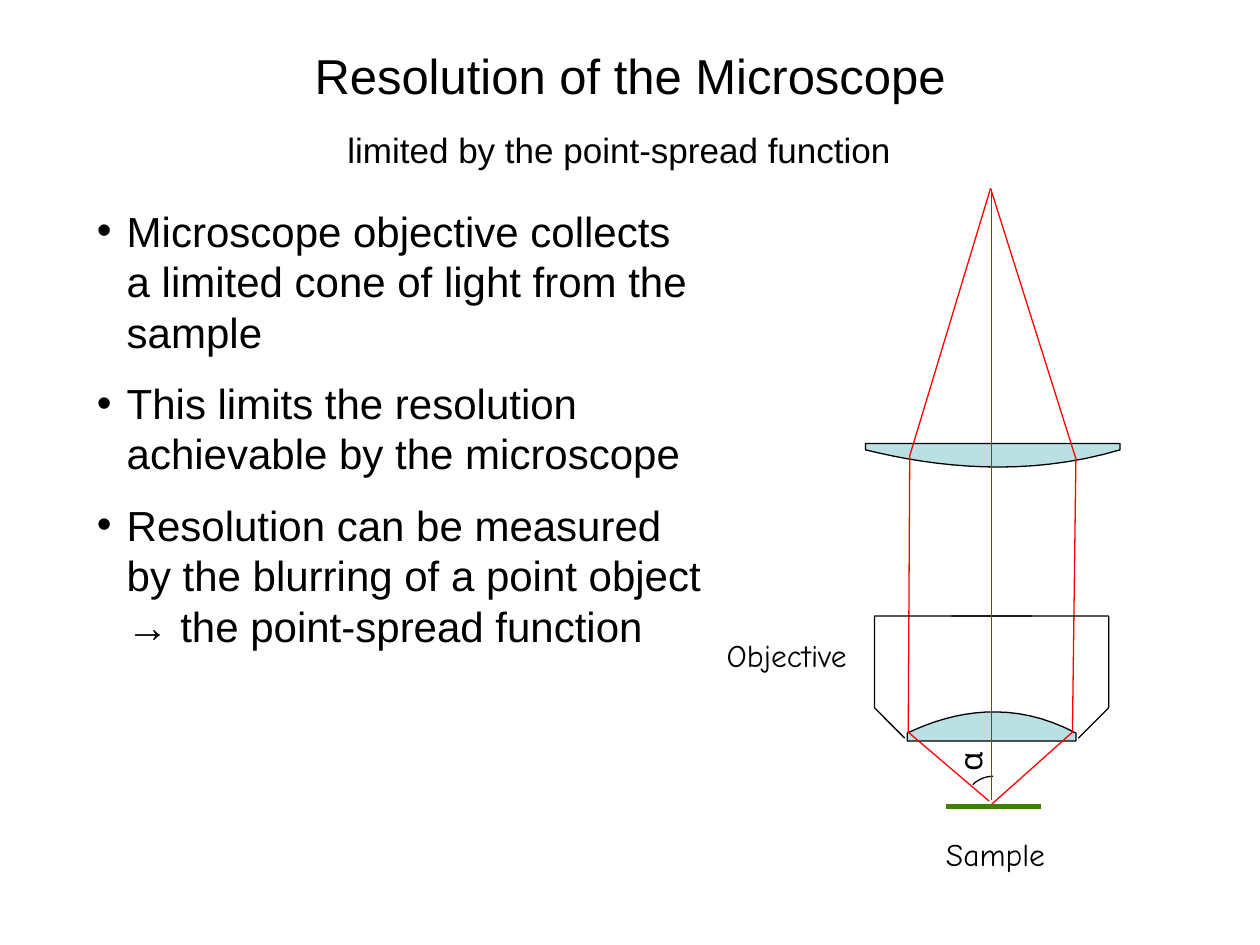
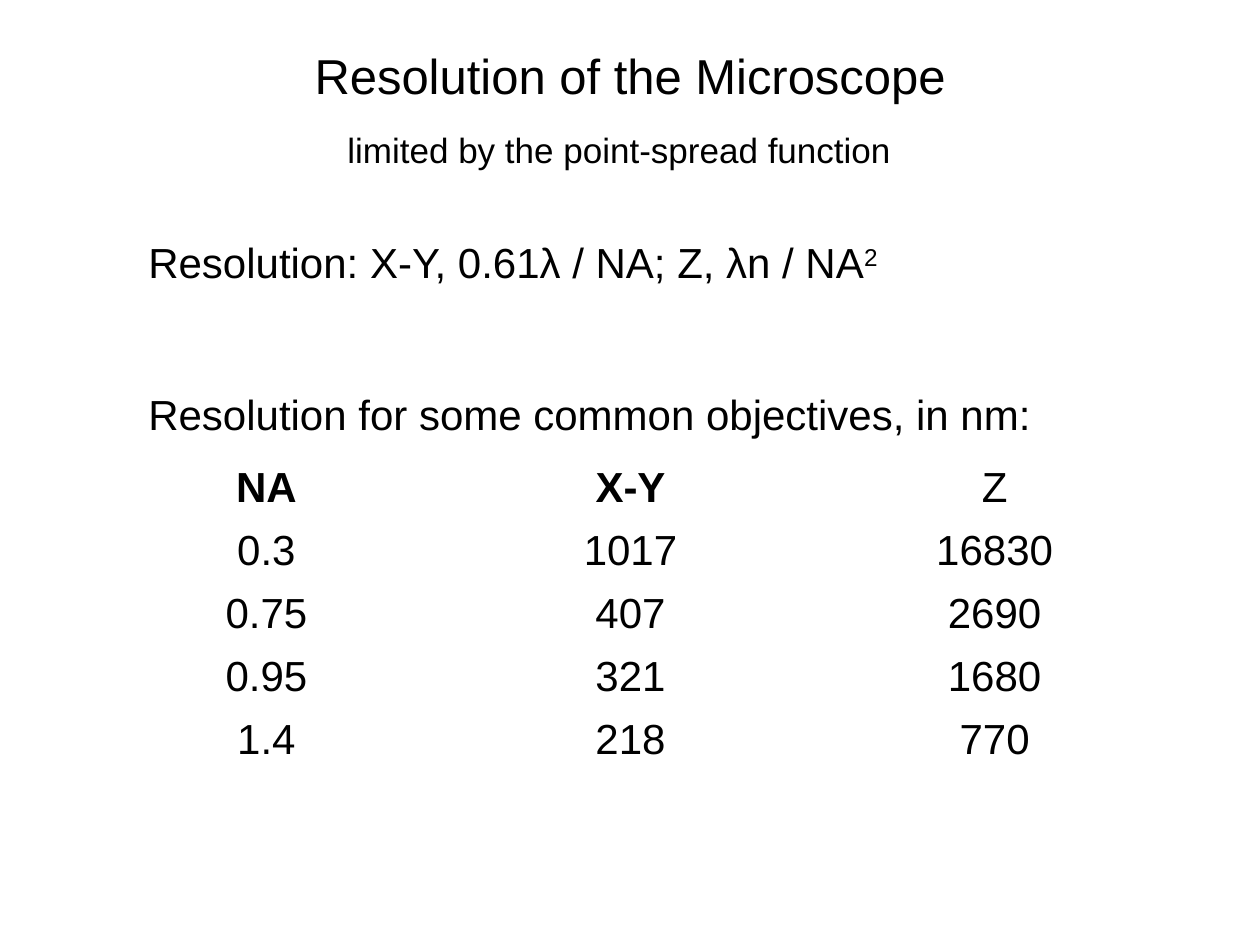
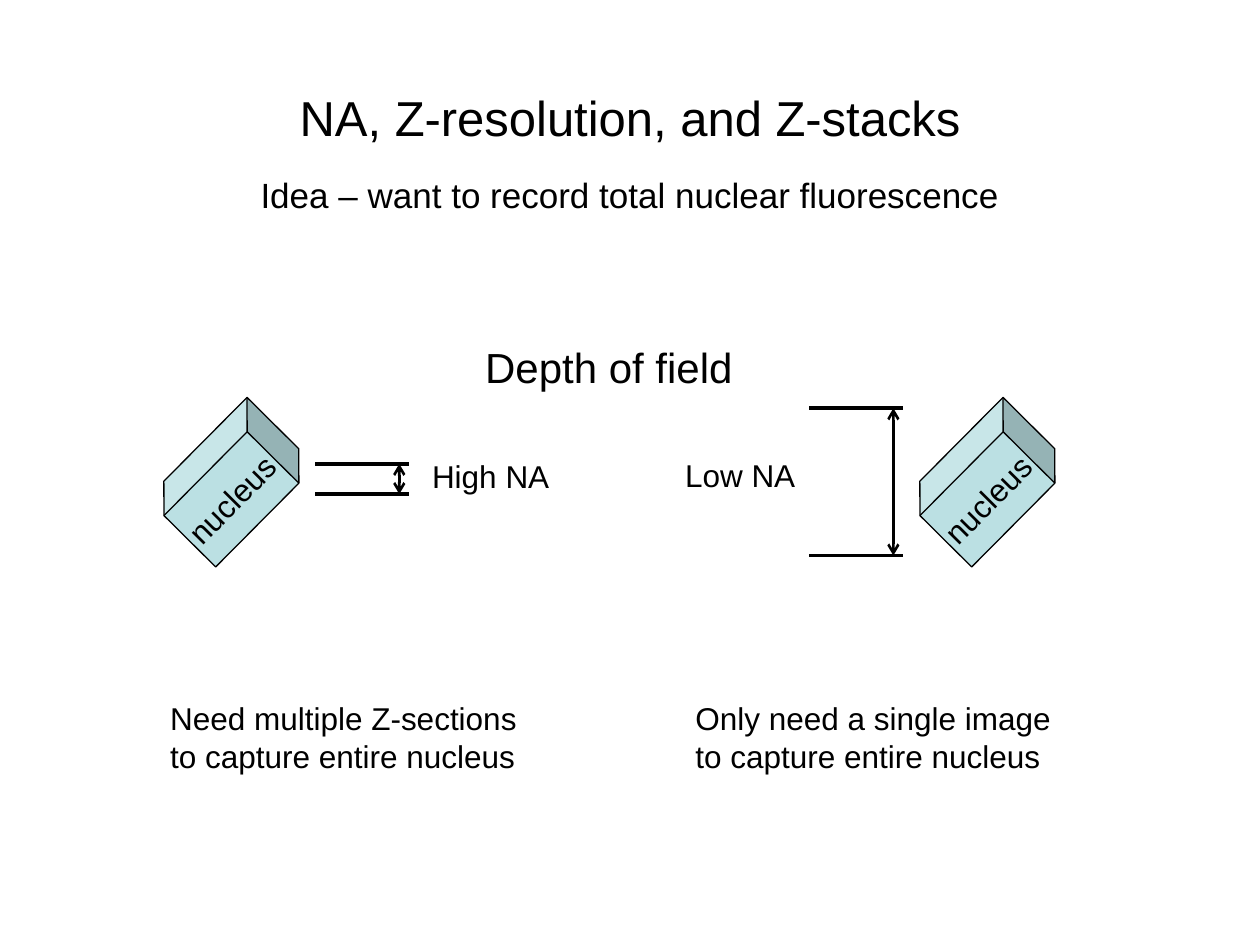
"""Build three slides on microscope resolution, numerical aperture and Z-stacks."""
from lxml import etree
from pptx import Presentation
from pptx.dml.color import RGBColor
from pptx.enum.shapes import MSO_CONNECTOR, MSO_SHAPE
from pptx.enum.text import MSO_ANCHOR, MSO_AUTO_SIZE, PP_ALIGN
from pptx.oxml.ns import qn
from pptx.util import Cm, Pt

STRAIGHT = MSO_CONNECTOR.STRAIGHT
RECTANGLE, CUBE = MSO_SHAPE.RECTANGLE, MSO_SHAPE.CUBE
MIDDLE, BOTTOM = MSO_ANCHOR.MIDDLE, MSO_ANCHOR.BOTTOM
FIT_SHAPE, NO_FIT = MSO_AUTO_SIZE.SHAPE_TO_FIT_TEXT, MSO_AUTO_SIZE.NONE
LEFT, CENTER = PP_ALIGN.LEFT, PP_ALIGN.CENTER

BLACK, WHITE, RED, GREEN, GLASS = "000000", "FFFFFF", "FF0000", "408000", "BBE0E3"
SANS, HAND = "Arial", "Comic Neue"
HAIRLINE = 0.75
CURVE_STEPS = 16


def write(para, text, size, font=SANS, bold=False):
    """Add one formatted run to a paragraph."""
    span = para.add_run()
    span.text = text
    span.font.name = font
    span.font.size = Pt(size)
    span.font.bold = bold
    span.font.color.rgb = RGBColor.from_string(BLACK)
    return span


def draw_line(page, start, end, color, width):
    """Draw a straight line without shadow and return its a:ln element."""
    line = page.shapes.add_connector(STRAIGHT, *map(Cm, start + end))
    line.line.color.rgb = RGBColor.from_string(color)
    line.line.width = Pt(width)
    properties = line._element.spPr
    etree.SubElement(properties, qn("a:effectLst"))
    return properties.find(qn("a:ln"))


deck = Presentation()
deck.slide_width, deck.slide_height = Cm(25.4), Cm(19.05)

titles = [
    (1, "Resolution of the Microscope", (1.9, 0.46, 21.6, 2.1)),
    (5, "Resolution of the Microscope", (1.9, 0.46, 21.6, 2.08)),
    (5, "NA, Z-resolution, and Z-stacks", (1.27, 0.76, 22.86, 3.18)),
]
for layout, text, place in titles:
    page = deck.slides.add_slide(deck.slide_layouts[layout])
    title = page.shapes.title
    title.left, title.top, title.width, title.height = map(Cm, place)
    title.text_frame.vertical_anchor = MIDDLE
    title.text_frame.auto_size = NO_FIT
    para = title.text_frame.paragraphs[0]
    para.alignment = CENTER
    write(para, text, 28)
objective_page, table_page, depth_page = deck.slides

subtitle = ("limited by the point-spread function", 20, SANS, CENTER, True, 0)
captions = [
    (objective_page, (3, 2.46, 18.97, 1.12), *subtitle),
    (table_page, (3, 2.46, 18.97, 1.12), *subtitle),
    (objective_page, (18.82, 16.71, 2.57, 1.07), "Sample", 18, HAND, LEFT, False, 0),
    (objective_page, (14.4, 12.7, 3.3, 1.07), "Objective", 18, HAND, LEFT, False, 0),
    (objective_page, (19.1, 14.83, 0.91, 1.02), "α", 18, HAND, LEFT, False, 270),
    (depth_page, (2.44, 3.38, 20.52, 1.12),
     "Idea – want to record total nuclear fluorescence", 20, SANS, CENTER, True, 0),
    (depth_page, (9.53, 6.76, 5.56, 1.27), "Depth of field", 24, SANS, LEFT, False, 0),
    (depth_page, (8.46, 9.09, 2.95, 1.02), "High NA", 18, SANS, LEFT, False, 0),
    (depth_page, (13.56, 9.07, 2.77, 1.02), "Low NA", 18, SANS, LEFT, False, 0),
    (depth_page, (3.18, 13.97, 8.05, 1.8),
     "Need multiple Z-sections to capture entire nucleus", 18, SANS, LEFT, True, 0),
    (depth_page, (13.77, 13.97, 8.05, 1.8),
     "Only need a single image to capture entire nucleus", 18, SANS, LEFT, True, 0),
]
for page, place, text, size, font, alignment, wrap, rotation in captions:
    box = page.shapes.add_textbox(*map(Cm, place))
    box.rotation = rotation
    box.text_frame.word_wrap = wrap
    box.text_frame.auto_size = FIT_SHAPE
    para = box.text_frame.paragraphs[0]
    para.alignment = alignment
    write(para, text, size, font)

body = objective_page.placeholders[1]
body.left, body.top, body.width, body.height = map(Cm, (1.7, 4.01, 12.7, 10.77))
body.text_frame.auto_size = NO_FIT
points = [
    "Microscope objective collects a limited cone of light from the sample",
    "This limits the resolution achievable by the microscope",
    "Resolution can be measured by the blurring of a point object → the point-spread function",
]
for index, text in enumerate(points):
    para = body.text_frame.add_paragraph() if index else body.text_frame.paragraphs[0]
    indents = para._p.get_or_add_pPr()
    indents.set("marL", str(Cm(0.6)))
    indents.set("indent", str(-Cm(0.6)))
    para.space_before, para.space_after = Pt(0), Pt(12)
    write(para, text, 24)

# Each step holds one end point, or two control points and an end point.
outlines = [
    ([[(18.29, 14.78)], [(18.29, 14.94)], [(21.69, 14.94)], [(21.69, 14.78)],
      [(20.42, 14.1), (19.23, 14.33), (18.29, 14.78)]], GLASS, BLACK),
    ([[(17.45, 9.07)], [(17.45, 8.94)], [(22.58, 8.94)], [(22.58, 9.07)],
      [(20.68, 9.63), (18.87, 9.42), (17.45, 9.07)]], GLASS, BLACK),
    ([[(19.94, 16.15)], [(18.31, 14.76)], [(18.34, 9.19)], [(19.99, 3.73)]], None, RED),
    ([[(19.94, 16.26)], [(21.62, 14.76)], [(21.69, 9.25)], [(19.99, 3.86)]], None, RED),
    ([[(18.24, 14.88)], [(17.63, 14.27)], [(17.63, 12.42)], [(20.8, 12.42)]], None, BLACK),
    ([[(21.74, 14.88)], [(22.35, 14.27)], [(22.35, 12.42)], [(19.18, 12.42)]], None, BLACK),
    ([[(19.61, 15.82)], [(19.71, 15.72), (19.86, 15.65), (20.02, 15.65)]], None, BLACK),
]
for steps, fill, color in outlines:
    vertices = []
    for step in steps:
        if len(step) == 1:
            vertices += step
            continue
        corners = [vertices[-1], *step]
        for count in range(1, CURVE_STEPS + 1):
            t = count / CURVE_STEPS
            weights = ((1 - t) ** 3, 3 * t * (1 - t) ** 2, 3 * t ** 2 * (1 - t), t ** 3)
            vertices.append(tuple(
                sum(weight * corner[axis] for weight, corner in zip(weights, corners))
                for axis in (0, 1)))
    vertices = [(Cm(x), Cm(y)) for x, y in vertices]
    builder = objective_page.shapes.build_freeform(*vertices[0])
    builder.add_line_segments(vertices[1:], close=fill is not None)
    outline = builder.convert_to_shape()
    outline.shadow.inherit = False
    outline.line.color.rgb = RGBColor.from_string(color)
    outline.line.width = Pt(HAIRLINE)
    if fill:
        outline.fill.solid()
        outline.fill.fore_color.rgb = RGBColor.from_string(fill)
    else:
        outline.fill.background()

draw_line(objective_page, (19.99, 16.13), (19.99, 3.81), RED, HAIRLINE)
draw_line(objective_page, (19.08, 16.26), (20.98, 16.26), GREEN, 3)
tip_cover = objective_page.shapes.add_shape(RECTANGLE, Cm(19.84), Cm(3.43), Cm(0.46), Cm(0.36))
tip_cover.shadow.inherit = False
tip_cover.fill.solid()
tip_cover.fill.fore_color.rgb = RGBColor.from_string(WHITE)
tip_cover.line.fill.background()

rows = [
    ("NA", "X-Y", "Z"),
    ("0.3", "1017", "16830"),
    ("0.75", "407", "2690"),
    ("0.95", "321", "1680"),
    ("1.4", "218", "770"),
    ("", "", ""),
]
table = table_page.shapes.add_table(
    len(rows), 3, Cm(1.7), Cm(8.26), Cm(22.02), Cm(8.4)).table
table.first_row = table.horz_banding = False
for row_index, values in enumerate(rows):
    table.rows[row_index].height = Cm(1.25 if row_index else 2.18)
    for column_index, value in enumerate(values):
        cell = table.cell(row_index, column_index)
        cell.fill.background()
        cell.vertical_anchor = BOTTOM
        para = cell.text_frame.paragraphs[0]
        para.alignment = CENTER
        if value:
            write(para, value, 24, bold=value in ("NA", "X-Y"))

formula = table_page.shapes.add_textbox(Cm(2.74), Cm(4.65), Cm(20.32), Cm(3.68)).text_frame
formula.word_wrap = True
para = formula.paragraphs[0]
write(para, "Resolution: X-Y, 0.61λ / NA; Z, λn / NA", 24)
exponent = write(para, "2", 24)
exponent.font._element.set("baseline", "30000")
para = formula.add_paragraph()
para.space_before = Pt(58)
write(para, "Resolution for some common objectives, in nm:", 24)

for left in (3.23, 18.47):
    nucleus = depth_page.shapes.add_shape(CUBE, Cm(left), Cm(8.74), Cm(2.87), Cm(1.96))
    nucleus.rotation = 314.8
    nucleus.shadow.inherit = False
    nucleus.fill.solid()
    nucleus.fill.fore_color.rgb = RGBColor.from_string(GLASS)
    nucleus.line.color.rgb = RGBColor.from_string(BLACK)
    nucleus.line.width = Pt(HAIRLINE)
    nucleus.text_frame.word_wrap = False
    nucleus.text_frame.vertical_anchor = MIDDLE
    para = nucleus.text_frame.paragraphs[0]
    para.alignment = CENTER
    write(para, "nucleus", 18)

for left, top, bottom in ((6.35, 9.35, 9.96), (16.31, 8.23, 11.2)):
    for level in (top, bottom):
        draw_line(depth_page, (left, level), (left + 1.9, level), BLACK, 2)
    arrow = draw_line(depth_page, (left + 1.7, bottom), (left + 1.7, top), BLACK, 1.5)
    for end in ("a:headEnd", "a:tailEnd"):
        etree.SubElement(arrow, qn(end), type="arrow")

deck.save("out.pptx")
